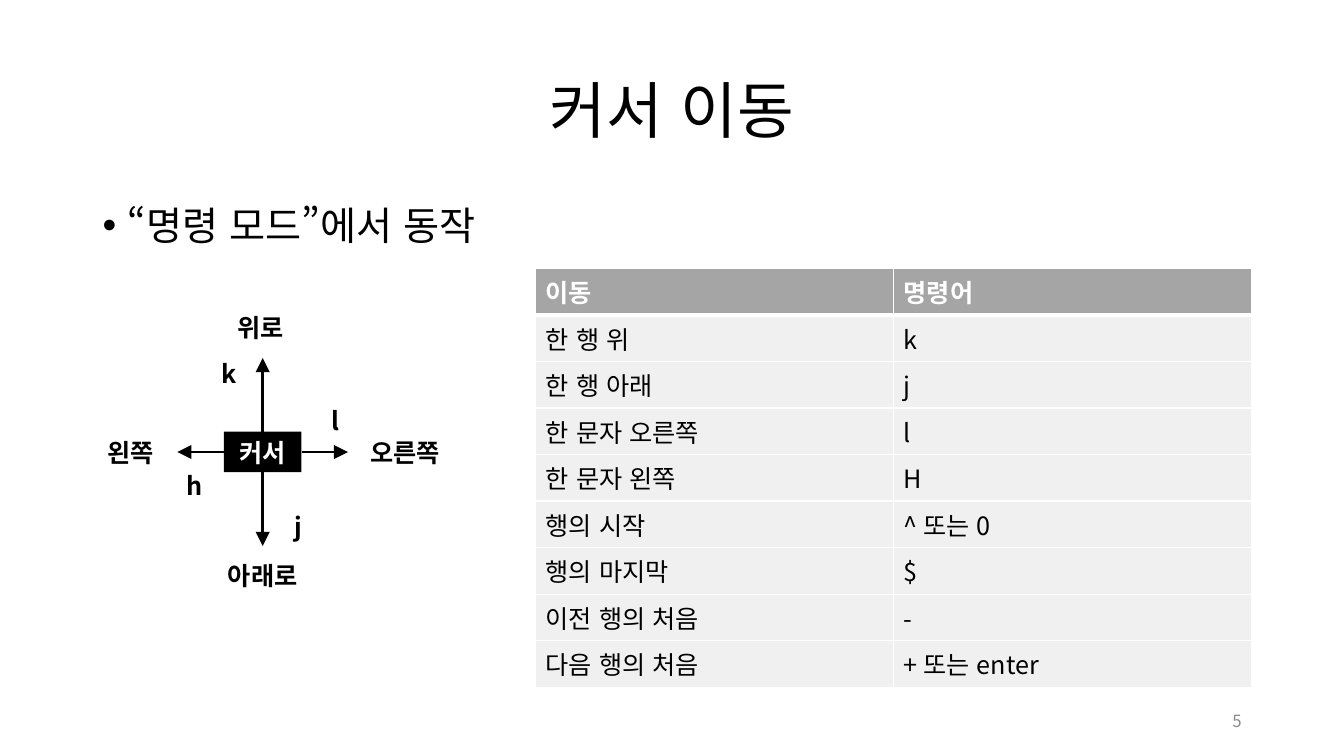
from lxml import etree
from pptx import Presentation
from pptx.dml.color import RGBColor
from pptx.enum.lang import MSO_LANGUAGE_ID as LANG
from pptx.enum.shapes import MSO_CONNECTOR, MSO_SHAPE
from pptx.enum.text import MSO_ANCHOR, PP_ALIGN
from pptx.oxml.ns import qn
from pptx.util import Cm, Pt

FONT = "Noto Sans CJK KR"


def add(parent, tag, **attrs):
    """Append an XML child element and return it."""
    return etree.SubElement(parent, qn(tag), attrs)


def write(tf, text, size, color="000000", bold=False, align=PP_ALIGN.LEFT):
    """Put one formatted paragraph, with Korean and Latin fonts, in a text frame."""
    p = tf.paragraphs[0]
    p.text, p.alignment = text, align
    f = p.font
    f.name, f.size, f.bold = FONT, Pt(size), bold
    f.color.rgb = RGBColor.from_string(color)
    add(p._p.pPr.find(qn("a:defRPr")), "a:ea", typeface=FONT)
    p.runs[0].font.language_id = LANG.KOREAN
    return p


prs = Presentation()
prs.slide_width, prs.slide_height = Cm(33.87), Cm(19.05)
s = prs.slides.add_slide(prs.slide_layouts[1])

# Title and bullet
title, body = s.placeholders
title.left, title.top, title.width, title.height = Cm(2.33), Cm(1.01), Cm(29.21), Cm(3.68)
title.text_frame.vertical_anchor = MSO_ANCHOR.MIDDLE
write(title.text_frame, "커서 이동", 44, align=PP_ALIGN.CENTER).line_spacing = 0.9

body.left, body.top, body.width, body.height = Cm(2.33), Cm(5.07), Cm(29.21), Cm(12.09)
p = write(body.text_frame, "“명령 모드”에서 동작", 28)
p.line_spacing, p.space_before = 0.9, Pt(10)
p._p.pPr.set("marL", str(Cm(0.64)))
p._p.pPr.set("indent", str(Cm(-0.64)))

# Cursor diagram: four arrows leave the box in the middle
cx, cy, box_w, box_h = 6.62, 11.39, 1.96, 1.02
for dx, dy, length in [(0, -1, 1.86), (0, 1, 1.86), (1, 0, 1.17), (-1, 0, 1.17)]:
    x, y = cx + dx * box_w / 2, cy + dy * box_h / 2
    arrow = s.shapes.add_connector(MSO_CONNECTOR.STRAIGHT, Cm(x), Cm(y),
                                   Cm(x + dx * length), Cm(y + dy * length))
    arrow.line.color.rgb = RGBColor.from_string("000000")
    arrow.line.width = Pt(2)
    add(arrow.line._get_or_add_ln(), "a:tailEnd", type="triangle", w="lg", len="lg")
    add(arrow._element.spPr, "a:effectLst")

cursor = s.shapes.add_shape(MSO_SHAPE.RECTANGLE, Cm(cx - box_w / 2), Cm(cy - box_h / 2),
                            Cm(box_w), Cm(box_h))
cursor.shadow.inherit = False
cursor.fill.solid()
cursor.fill.fore_color.rgb = RGBColor.from_string("000000")
cursor.line.fill.background()
tf = cursor.text_frame
tf.margin_left = tf.margin_right = tf.margin_top = tf.margin_bottom = 0
tf.vertical_anchor = MSO_ANCHOR.MIDDLE
write(tf, "커서", 18, "FFFFFF", True, PP_ALIGN.CENTER)

# Direction names and keys, by centre point
label_w, label_h = 2.6, 1.02
labels = [("위로", 6.57, 8.26), ("왼쪽", 3.3, 11.39), ("오른쪽", 10.21, 11.39),
          ("아래로", 6.62, 14.5), ("k", 5.78, 9.42), ("h", 4.9, 12.24),
          ("j", 7.52, 13.26), ("l", 8.46, 10.59)]
for text, x, y in labels:
    tf = s.shapes.add_textbox(Cm(x - label_w / 2), Cm(y - label_h / 2),
                              Cm(label_w), Cm(label_h)).text_frame
    tf.word_wrap = True
    tf.margin_left = tf.margin_right = tf.margin_top = tf.margin_bottom = 0
    tf.vertical_anchor = MSO_ANCHOR.MIDDLE
    write(tf, text, 18, bold=True, align=PP_ALIGN.CENTER)

# Command table
rows = [("이동", "명령어"), ("한 행 위", "k"), ("한 행 아래", "j"),
        ("한 문자 오른쪽", "l"), ("한 문자 왼쪽", "H"), ("행의 시작", "^ 또는 0"),
        ("행의 마지막", "$"), ("이전 행의 처음", "-"), ("다음 행의 처음", "+ 또는 enter")]
table_h = 10.56
table = s.shapes.add_table(len(rows), 2, Cm(13.5), Cm(6.76), Cm(18.04),
                           Cm(table_h)).table
table.horz_banding = False
for i, row in enumerate(rows):
    table.rows[i].height = Cm(table_h / len(rows))
    header = i == 0
    for j, text in enumerate(row):
        cell = table.cell(i, j)
        write(cell.text_frame, text, 18, "FFFFFF" if header else "000000", header)
        tcPr = cell._tc.get_or_add_tcPr()
        for side in ("L", "R", "T", "B"):
            thick = (header and side == "B") or (i == 1 and side == "T")
            ln = add(tcPr, f"a:ln{side}", w=str(Pt(3 if thick else 1)))
            add(add(ln, "a:solidFill"), "a:srgbClr", val="FFFFFF")
        cell.fill.solid()
        cell.fill.fore_color.rgb = RGBColor.from_string("A5A5A5" if header else "F0F0F0")

# Slide number
tf = s.shapes.add_textbox(Cm(23.92), Cm(17.66), Cm(7.62), Cm(1.01)).text_frame
tf.word_wrap = True
tf.vertical_anchor = MSO_ANCHOR.MIDDLE
write(tf, "5", 12, "8C8C8C", align=PP_ALIGN.RIGHT)

prs.save("out.pptx")
